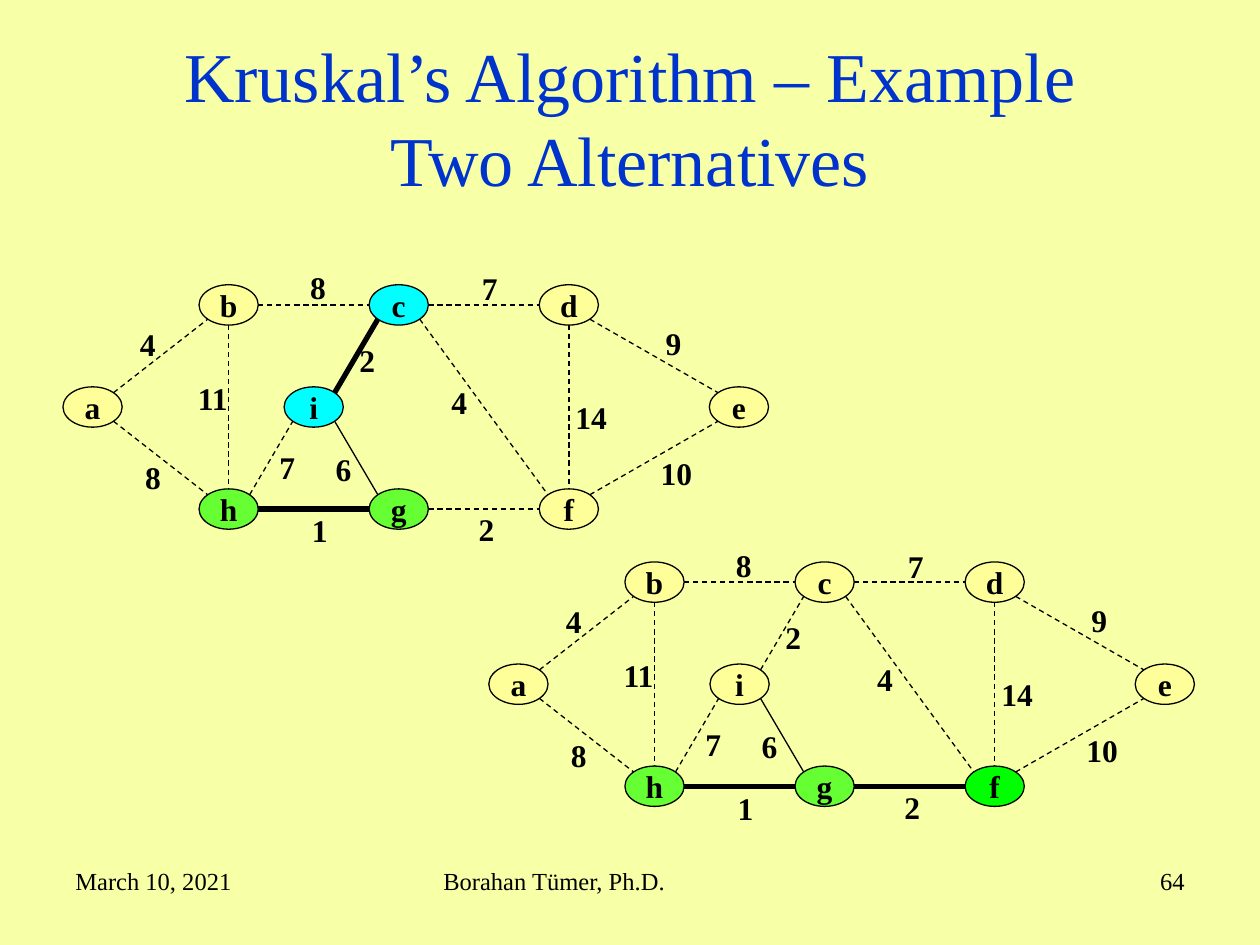
from math import copysign, sqrt

from lxml import etree
from pptx import Presentation, util as u
from pptx.dml.color import RGBColor
from pptx.enum import dml, shapes, text
from pptx.oxml.ns import qn

WIDTH, HEIGHT = 10, 7.5
FONT = "Times New Roman"
BLACK, BLUE, BACKGROUND = "000000", "0033CC", "F7FFA7"
YELLOW, CYAN, LIME, GREEN = "FFFF99", "00FFFF", "66FF33", "00FF00"

COLUMN, ROW = 0.27, 0.81
NODE_WIDTH, NODE_HEIGHT = 0.47, 0.32

# Node: (column, row)
NODES = {
    "a": (0, 1), "b": (4, 0), "c": (9, 0), "d": (14, 0), "e": (19, 1),
    "i": (6.5, 1), "h": (4, 2), "g": (9, 2), "f": (14, 2),
}
# Edge: (weight, column and row of the weight's box)
EDGES = {
    "ab": (4, 1.9, 0.33), "bc": (8, 6.9, -0.22), "cd": (7, 11.95, -0.21),
    "de": (9, 17.35, 0.32), "df": (14, 14.7, 1.05), "fe": (10, 17.2, 1.6),
    "cf": (4, 11.05, 0.9), "gf": (2, 11.85, 2.15), "ig": (6, 7.65, 1.56),
    "ic": (2, 8.35, 0.49), "bh": (11, 3.6, 0.86), "ah": (8, 2.05, 1.64),
    "hg": (1, 6.95, 2.16), "hi": (7, 6, 1.54),
}
REJECTED = {"ig"}


def color(hex_string):
    return RGBColor.from_string(hex_string)


def write(frame, content, size=18, bold=False, ink=BLACK,
          align=text.PP_ALIGN.LEFT, anchor=text.MSO_ANCHOR.TOP, wrap=True):
    frame.word_wrap = wrap
    frame.vertical_anchor = anchor
    frame.text = content
    para = frame.paragraphs[0]
    para.alignment = align
    for span in para.runs:
        span.font.name = FONT
        span.font.size = u.Pt(size)
        span.font.bold = bold
        span.font.color.rgb = color(ink)


def add_text(page, left, top, width, height, content, **style):
    box = page.shapes.add_textbox(*map(u.Inches, (left, top, width, height)))
    write(box.text_frame, content, **style)
    return box


def add_node(page, center, name, fill):
    x, y = center
    node = page.shapes.add_shape(
        shapes.MSO_SHAPE.OVAL,
        u.Inches(x - NODE_WIDTH / 2), u.Inches(y - NODE_HEIGHT / 2),
        u.Inches(NODE_WIDTH), u.Inches(NODE_HEIGHT))
    node.shadow.inherit = False
    node.fill.solid()
    node.fill.fore_color.rgb = color(fill)
    node.line.color.rgb = color(BLACK)
    node.line.width = u.Pt(0.75)
    write(node.text_frame, name, bold=True, wrap=False,
          align=text.PP_ALIGN.CENTER, anchor=text.MSO_ANCHOR.MIDDLE)


def rim_point(center, other):
    """Return the point on a node's rim, in steps of 45 degrees, facing other."""
    dx, dy = (round(there - here, 2) for here, there in zip(center, other))
    share = 1 / sqrt(2) if dx and dy else 1
    x = center[0] + (copysign(share * NODE_WIDTH / 2, dx) if dx else 0)
    y = center[1] + (copysign(share * NODE_HEIGHT / 2, dy) if dy else 0)
    return u.Inches(x), u.Inches(y)


def add_edge(page, start, end, width, dashed):
    edge = page.shapes.add_connector(
        shapes.MSO_CONNECTOR.STRAIGHT,
        *rim_point(start, end), *rim_point(end, start))
    edge.line.color.rgb = color(BLACK)
    edge.line.width = u.Pt(width)
    if dashed:
        edge.line.dash_style = dml.MSO_LINE.DASH
    etree.SubElement(edge._element.spPr, qn("a:effectLst"))


def add_graph(page, left, top, fills, chosen):
    """Draw the graph with its chosen edges thick and its open edges dashed."""
    centers = {
        name: (left + column * COLUMN + NODE_WIDTH / 2,
               top + row * ROW + NODE_HEIGHT / 2)
        for name, (column, row) in NODES.items()
    }
    for name, center in centers.items():
        add_node(page, center, name, fills.get(name, YELLOW))
    for ends, (weight, column, row) in EDGES.items():
        start, end = (centers[name] for name in ends)
        add_edge(page, start, end, width=3 if ends in chosen else 0.75,
                 dashed=ends not in chosen | REJECTED)
        label = add_text(page, left + column * COLUMN, top + row * ROW,
                         0.33 if weight < 10 else 0.45, 0.4,
                         str(weight), bold=True, wrap=False)
        label.text_frame.auto_size = text.MSO_AUTO_SIZE.SHAPE_TO_FIT_TEXT


def add_footer(page):
    top, height = 0.91 * HEIGHT, 0.07 * HEIGHT
    for left, width, content, align in (
        (0.05, 0.233, "March 10, 2021", text.PP_ALIGN.LEFT),
        (0.342, 0.317, "Borahan Tümer, Ph.D.", text.PP_ALIGN.LEFT),
        (0.717, 0.233, "64", text.PP_ALIGN.RIGHT),
    ):
        add_text(page, left * WIDTH, top, width * WIDTH, height, content,
                 size=14, align=align)


def main():
    deck = Presentation()
    deck.slide_width, deck.slide_height = u.Inches(WIDTH), u.Inches(HEIGHT)
    page = deck.slides.add_slide(deck.slide_layouts[6])
    page.background.fill.solid()
    page.background.fill.fore_color.rgb = color(BACKGROUND)

    add_text(page, 0.05 * WIDTH, 0.04 * HEIGHT, 0.9 * WIDTH, HEIGHT / 6,
             "Kruskal’s Algorithm – Example\vTwo Alternatives", size=40,
             ink=BLUE, align=text.PP_ALIGN.CENTER,
             anchor=text.MSO_ANCHOR.MIDDLE)
    add_graph(page, 0.5, 2.26, {"c": CYAN, "i": CYAN, "h": LIME, "g": LIME},
              chosen={"ic", "hg"})
    add_graph(page, 3.88, 4.46, {"h": LIME, "g": LIME, "f": GREEN},
              chosen={"hg", "gf"})
    add_footer(page)
    deck.save("out.pptx")


if __name__ == "__main__":
    main()
